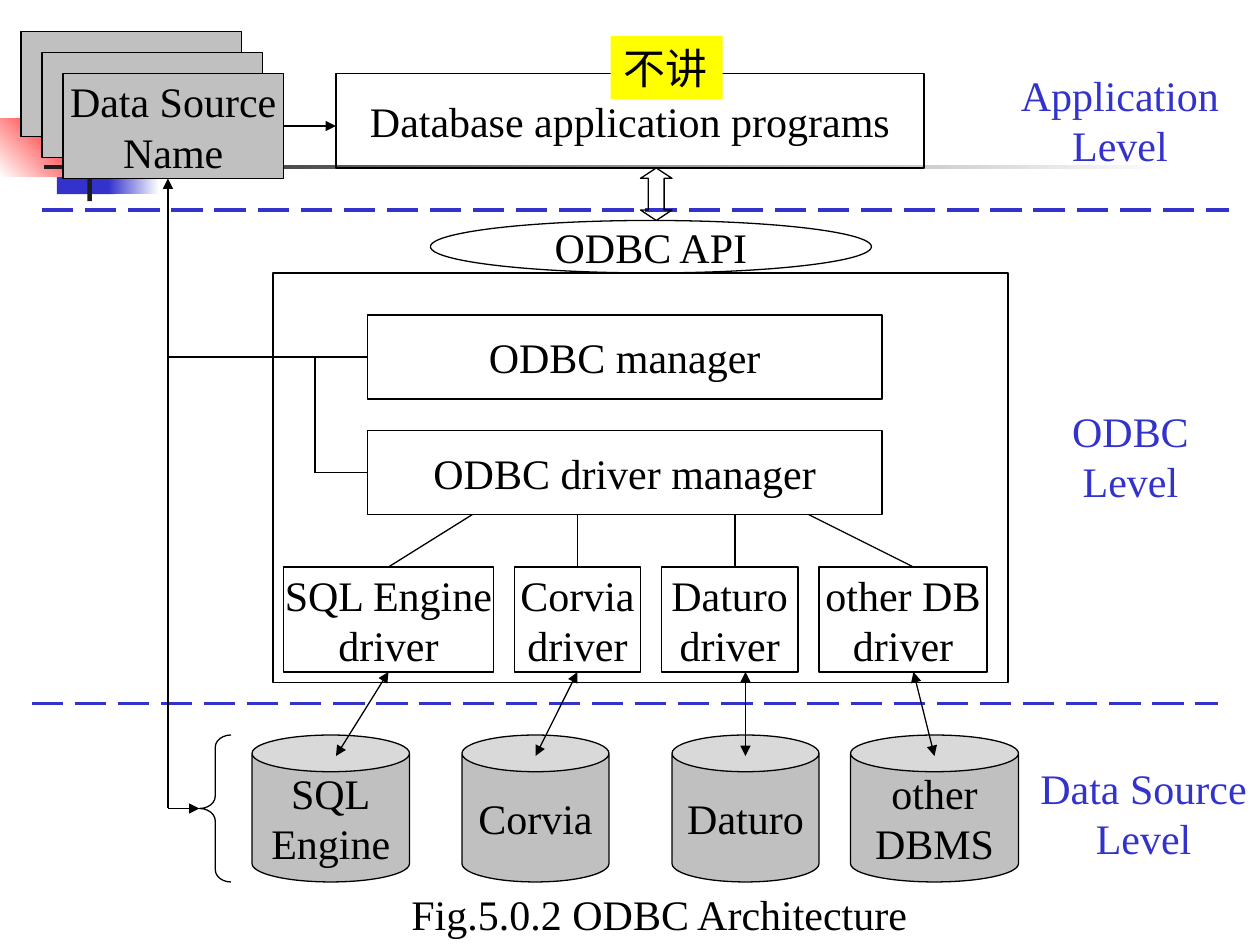
from dataclasses import dataclass

from lxml import etree
from pptx import Presentation
from pptx.dml.color import RGBColor
from pptx.enum.dml import MSO_LINE
from pptx.enum.shapes import MSO_CONNECTOR, MSO_SHAPE
from pptx.enum.text import MSO_ANCHOR, PP_ALIGN
from pptx.oxml.ns import qn
from pptx.util import Pt

RECT = MSO_SHAPE.RECTANGLE
OVAL = MSO_SHAPE.OVAL
CAN = MSO_SHAPE.CAN
BRACE = MSO_SHAPE.LEFT_BRACE
TWO_WAY = MSO_SHAPE.UP_DOWN_ARROW
STRAIGHT = MSO_CONNECTOR.STRAIGHT
LONG_DASH = MSO_LINE.LONG_DASH
CENTER = PP_ALIGN.CENTER
LEFT = PP_ALIGN.LEFT
MIDDLE = MSO_ANCHOR.MIDDLE
TOP = MSO_ANCHOR.TOP


@dataclass(frozen=True)
class Theme:
    ink: str = "000000"
    white: str = "FFFFFF"
    blue: str = "3333CC"
    gray: str = "C0C0C0"
    gold: str = "FFCF01"
    red: str = "FF0000"
    charcoal: str = "1C1C1C"
    highlight: str = "FFFF00"
    font: str = "Times New Roman"
    note_font: str = "Cabin"
    size: float = 24
    outline: float = 0.75
    divider: float = 2.25


THEME = Theme()


def rgb(code):
    return RGBColor.from_string(code)


def write(shape, text, color=THEME.ink, font=THEME.font, align=CENTER, anchor=MIDDLE):
    frame = shape.text_frame
    frame.text = text
    frame.word_wrap = False
    frame.vertical_anchor = anchor
    for paragraph in frame.paragraphs:
        paragraph.alignment = align
        for run in paragraph.runs:
            run.font.name = font
            run.font.size = Pt(THEME.size)
            run.font.color.rgb = rgb(color)


def add_figure(slide, kind, box, fill=None, outline=THEME.ink, text=None):
    figure = slide.shapes.add_shape(kind, *map(Pt, box))
    figure.shadow.inherit = False
    if fill:
        figure.fill.solid()
        figure.fill.fore_color.rgb = rgb(fill)
    else:
        figure.fill.background()
    if outline:
        figure.line.color.rgb = rgb(outline)
        figure.line.width = Pt(THEME.outline)
    else:
        figure.line.fill.background()
    if text:
        write(figure, text)
    return figure


def add_gradient(slide, box, colors, angle=0):
    band = add_figure(slide, RECT, box, outline=None)
    band.fill.gradient()
    band.fill.gradient_angle = angle
    for stop, color in zip(band.fill.gradient_stops, colors):
        stop.color.rgb = rgb(color)


def add_line(slide, start, end, ends=(), color=THEME.ink, width=THEME.outline, dash=None):
    line = slide.shapes.add_connector(STRAIGHT, *map(Pt, (*start, *end)))
    line.line.color.rgb = rgb(color)
    line.line.width = Pt(width)
    if dash:
        line.line.dash_style = dash
    stroke = line.line._get_or_add_ln()
    for arrowhead in ends:
        etree.SubElement(stroke, qn(f"a:{arrowhead}"), type="triangle")
    etree.SubElement(line._element.spPr, qn("a:effectLst"))


def add_label(slide, box, text, **style):
    label = slide.shapes.add_textbox(*map(Pt, box))
    write(label, text, anchor=TOP, **style)
    return label


def add_two_way_arrow(slide, box, shaft, head):
    arrow = add_figure(slide, TWO_WAY, box)
    arrow.adjustments[0] = shaft
    arrow.adjustments[1] = head
    guides = arrow._element.spPr.find(".//" + qn("a:avLst"))
    for number, guide in enumerate(guides, start=1):
        guide.set("name", f"adj{number}")


def add_backdrop(slide):
    add_figure(slide, RECT, (23, 40, 34.5, 37.5), THEME.gold, None)
    add_figure(slide, RECT, (32.5, 73.5, 33, 37.5), THEME.blue, None)
    add_gradient(slide, (62, 73.5, 29, 37.5), (THEME.blue, THEME.white))
    add_gradient(slide, (0, 68, 44, 33), (THEME.white, THEME.red), 45)
    add_figure(slide, RECT, (50, 32, 2.5, 83), THEME.charcoal, None)
    add_gradient(slide, (25, 94.5, 648, 2.2), (THEME.charcoal, THEME.white))


def add_layers(slide):
    add_figure(slide, RECT, (192, 42, 336, 54), text="Database application programs")
    add_figure(slide, RECT, (156, 156, 420, 234))
    add_figure(slide, OVAL, (246, 126, 252, 30), text="ODBC API")
    for top, name in ((180, "ODBC manager"), (246, "ODBC driver manager")):
        add_figure(slide, RECT, (210, top, 294, 48), text=name)
    for left, right, y in ((24, 702, 120), (18, 696, 402)):
        add_line(slide, (left, y), (right, y), color=THEME.blue,
                 width=THEME.divider, dash=LONG_DASH)
    add_two_way_arrow(slide, (366, 96, 18, 30), 0.5, 0.33)


def add_databases(slide):
    drivers = (
        ("SQL Engine", 162, 120), ("Corvia", 294, 72),
        ("Daturo", 378, 78), ("other DB", 468, 96),
    )
    stores = (
        ("SQL\nEngine", 144, 90), ("Corvia", 264, 84),
        ("Daturo", 384, 84), ("other\nDBMS", 486, 96),
    )
    manager_links = ((270, 222), (330, 330), (420, 420), (462, 522))
    store_links = ((222, 192), (330, 306), (426, 426), (522, 534))
    for name, left, width in drivers:
        add_figure(slide, RECT, (left, 324, width, 60), text=f"{name}\ndriver")
    for name, left, width in stores:
        add_figure(slide, CAN, (left, 420, width, 84), THEME.gray, text=name)
    for upper, lower in manager_links:
        add_line(slide, (upper, 294), (lower, 324))
    for upper, lower in store_links:
        add_line(slide, (upper, 384), (lower, 432), ("headEnd", "tailEnd"))


def add_source_names(slide):
    add_line(slide, (210, 204), (96, 204))
    add_line(slide, (96, 204), (96, 102), ("tailEnd",))
    add_line(slide, (180, 204), (180, 270))
    add_line(slide, (180, 270), (210, 270))
    add_line(slide, (96, 204), (96, 462))
    brace = add_figure(slide, BRACE, (114, 420, 18, 84))
    brace.adjustments[0] = 0.39
    add_line(slide, (96, 462), (114, 462), ("tailEnd",))
    for offset, text in ((12, None), (24, None), (36, "Data Source\nName")):
        add_figure(slide, RECT, (offset, offset + 6, 126, 60), THEME.gray, text=text)
    add_line(slide, (162, 72), (192, 72), ("tailEnd",))


def add_captions(slide):
    levels = (
        ("Application", 574, 36, 132), ("ODBC", 602, 228, 88),
        ("Data Source", 587, 432, 133),
    )
    for name, left, top, width in levels:
        add_label(slide, (left, top, width, 65), f"{name}\nLevel", color=THEME.blue)
    add_label(slide, (228, 504, 304.5, 36), "Fig.5.0.2 ODBC Architecture", align=LEFT)
    note = add_label(slide, (349, 20.5, 64, 36), "不讲", font=THEME.note_font, align=LEFT)
    note.fill.solid()
    note.fill.fore_color.rgb = rgb(THEME.highlight)


def main():
    deck = Presentation()
    deck.slide_width, deck.slide_height = Pt(720), Pt(540)
    slide = deck.slides.add_slide(deck.slide_layouts[6])
    add_backdrop(slide)
    add_layers(slide)
    add_databases(slide)
    add_source_names(slide)
    add_captions(slide)
    deck.save("out.pptx")


if __name__ == "__main__":
    main()
